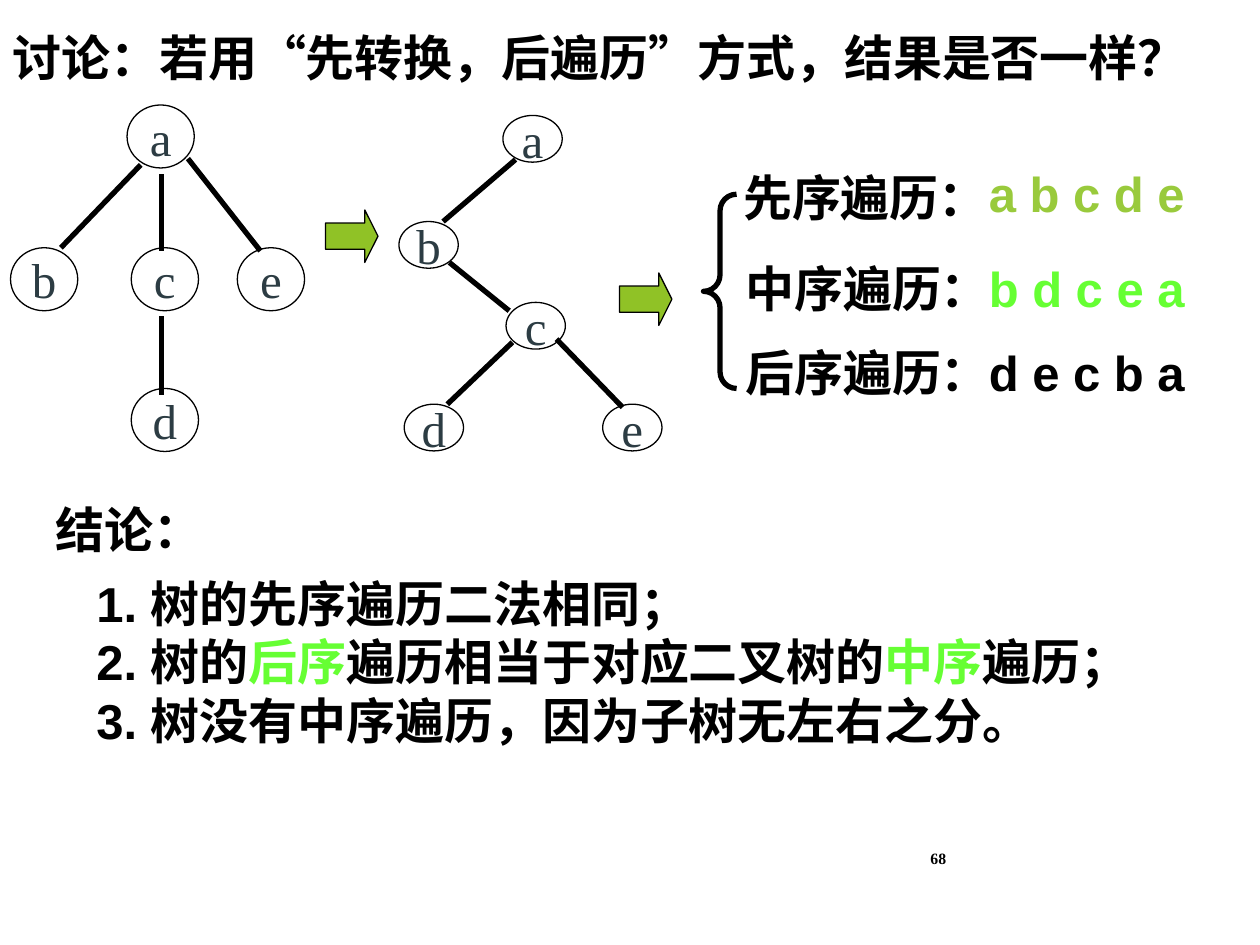
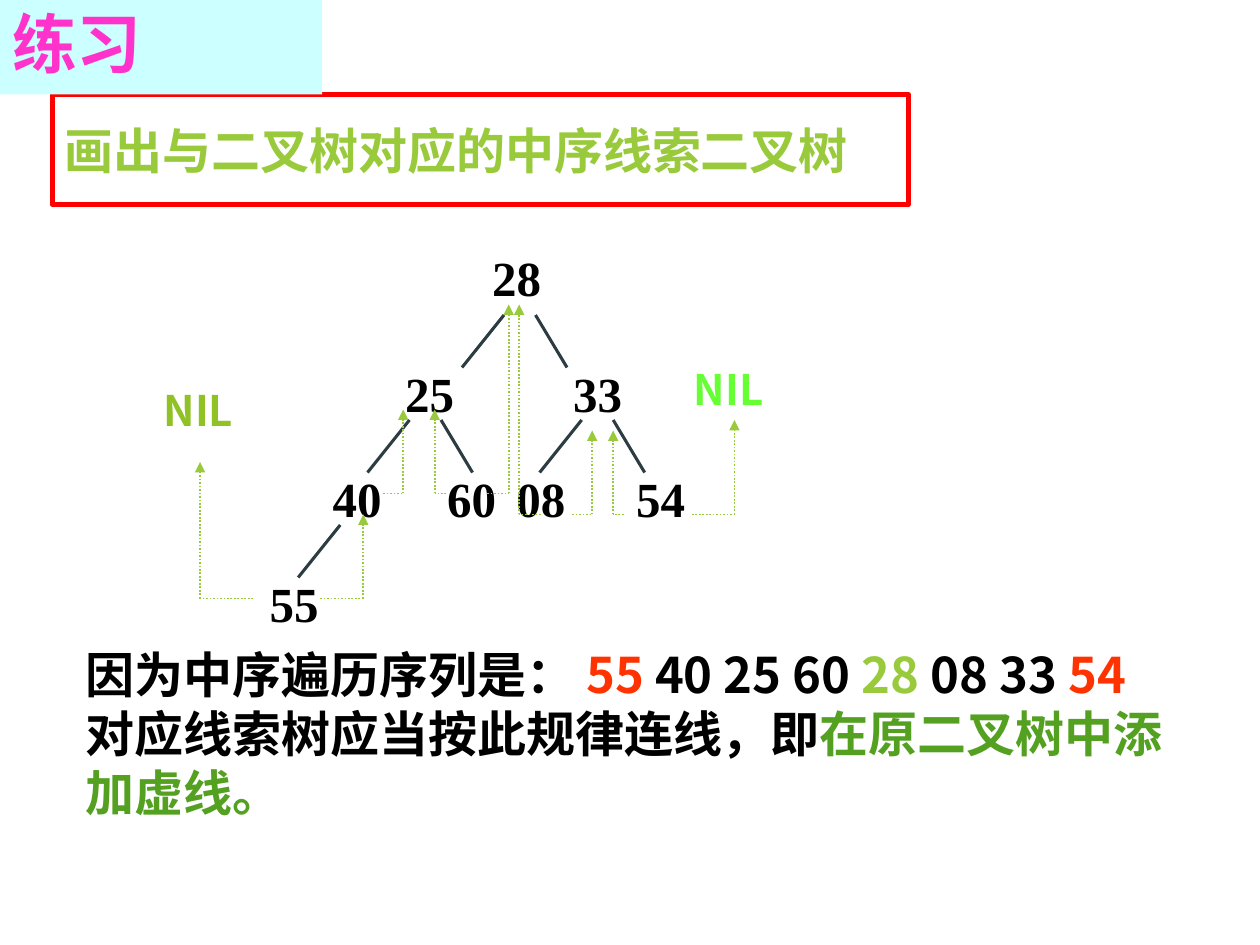
from pptx import Presentation
from pptx.dml.color import RGBColor
from pptx.enum.dml import MSO_LINE
from pptx.enum.shapes import MSO_CONNECTOR, MSO_SHAPE
from pptx.enum.text import MSO_ANCHOR, PP_ALIGN
from pptx.oxml.ns import qn
from pptx.util import Inches, Pt
from lxml.etree import SubElement

BLACK = RGBColor(0x00, 0x00, 0x00)
SLATE = RGBColor(0x2C, 0x3C, 0x43)
GREEN = RGBColor(0x90, 0xC2, 0x26)
LIME = RGBColor(0x99, 0xCA, 0x3C)
NEON = RGBColor(0x66, 0xFF, 0x33)
FOREST = RGBColor(0x54, 0xA0, 0x21)
RED = RGBColor(0xFF, 0x00, 0x00)
ORANGE = RGBColor(0xFF, 0x33, 0x00)
PINK = RGBColor(0xFF, 0x33, 0xCC)
CYAN = RGBColor(0xCC, 0xFF, 0xFF)

SANS, SERIF, CJK = "Arial", "Times New Roman", "Noto Sans CJK SC"

# The slide is a grid of 120 columns by 90 rows, 12 cells to the inch.
CELL = Inches(1) / 12
COLUMNS, ROWS = 120, 90


def cells(*lengths):
    return [round(length * CELL) for length in lengths]


def write(shape, paragraphs, font=SANS, size=28, color=BLACK, bold=True,
          wrap=True, align=PP_ALIGN.LEFT, anchor=MSO_ANCHOR.TOP):
    """Fill a shape with paragraphs; a run is (text, colour[, font])."""
    frame = shape.text_frame
    frame.word_wrap = wrap
    frame.vertical_anchor = anchor
    for index, runs in enumerate(paragraphs):
        paragraph = frame.add_paragraph() if index else frame.paragraphs[0]
        paragraph.alignment = align
        for text, *style in [(runs, color)] if isinstance(runs, str) else runs:
            run = paragraph.add_run()
            run.text = text
            run.font.size = Pt(size)
            run.font.bold = bold
            run.font.color.rgb = style[0]
            run.font.name = style[1] if len(style) > 1 else font
            SubElement(run.font._element, qn("a:ea"), typeface=CJK)


deck = Presentation()
deck.slide_width, deck.slide_height = cells(COLUMNS, ROWS)
blank = deck.slide_layouts[6]
traversal = deck.slides.add_slide(blank)
exercise = deck.slides.add_slide(blank)

# Slide 1: tree and its binary tree
question = traversal.shapes.add_textbox(*cells(0, 2, 116, 6.8))
write(question, [[("讨论：若用", BLACK), ("“", BLACK, SERIF), ("先转换，后遍历", BLACK),
                  ("”", BLACK, SERIF), ("方式，结果是否一样？", BLACK)]])

general_tree = [("a", 12.1, 10), ("b", 1, 23.6), ("c", 12.5, 23.6),
                ("e", 22.6, 23.6), ("d", 12.5, 37)]
binary_tree = [("a", 47.9, 11), ("b", 38, 21.1), ("c", 48.2, 28.8),
               ("d", 38.5, 38.5), ("e", 57.4, 38.5)]
for tree, width, height in [(general_tree, 6.4, 6), (binary_tree, 5.65, 4.45)]:
    for letter, left, top in tree:
        node = traversal.shapes.add_shape(MSO_SHAPE.OVAL, *cells(left, top, width, height))
        node.shadow.inherit = False
        node.fill.background()
        node.line.color.rgb = BLACK
        node.line.width = Pt(0.75)
        write(node, [letter], SERIF, color=SLATE, bold=False, wrap=False,
              align=PP_ALIGN.CENTER, anchor=MSO_ANCHOR.MIDDLE)

for left, top in [(31, 20), (59, 26)]:
    step = traversal.shapes.add_shape(MSO_SHAPE.RIGHT_ARROW, *cells(left, top, 5, 5))
    step.adjustments[0], step.adjustments[1] = 0.5, 0.25
    step.shadow.inherit = False
    step.fill.solid()
    step.fill.fore_color.rgb = GREEN
    step.line.color.rgb = BLACK
    step.line.width = Pt(0.75)

brace = traversal.shapes.add_shape(MSO_SHAPE.LEFT_BRACE, *cells(67, 18.5, 3.15, 18.5))
brace.adjustments[0], brace.adjustments[1] = 0.5, 0.5
brace.shadow.inherit = False
brace.fill.background()
brace.line.color.rgb = BLACK
brace.line.width = Pt(3)

for order, left, top, sequence, sequence_top, color in [
        ("先序遍历：", 69.6, 15.4, "a b c d e", 15, LIME),
        ("中序遍历：", 69.8, 24, "b d c e a", 24, NEON),
        ("后序遍历：", 69.8, 32, "d e c b a", 32, BLACK)]:
    write(traversal.shapes.add_textbox(*cells(left, top, 25.7, 6.8)), [order], wrap=False)
    write(traversal.shapes.add_textbox(*cells(93, sequence_top, 23, 6.8)), [sequence], color=color)

write(traversal.shapes.add_textbox(*cells(4.1, 47, 16.3, 6.8)), ["结论："], wrap=False)
write(traversal.shapes.add_textbox(*cells(8, 54, 102, 18)), [
    "1. 树的先序遍历二法相同；",
    [("2. 树的", BLACK), ("后序", NEON), ("遍历相当于对应二叉树的", BLACK),
     ("中序", NEON), ("遍历；", BLACK)],
    "3. 树没有中序遍历，因为子树无左右之分。"])
write(traversal.shapes.add_textbox(*cells(84.6, 79.3, 6.7, 4.8)), ["68"], SERIF, 9,
      align=PP_ALIGN.RIGHT, anchor=MSO_ANCHOR.MIDDLE)

# Slide 2: threaded binary tree
task = exercise.shapes.add_shape(MSO_SHAPE.RECTANGLE, *cells(5, 9, 81.5, 10.5))
task.shadow.inherit = False
task.fill.background()
task.line.color.rgb = RED
task.line.width = Pt(3)
write(task, ["画出与二叉树对应的中序线索二叉树"], CJK, color=LIME, anchor=MSO_ANCHOR.MIDDLE)

heading = exercise.shapes.add_shape(MSO_SHAPE.RECTANGLE, *cells(0, 0, 30.7, 9))
heading.shadow.inherit = False
heading.fill.solid()
heading.fill.fore_color.rgb = CYAN
heading.line.fill.background()
write(heading, ["练习"], CJK, 37, PINK, anchor=MSO_ANCHOR.MIDDLE)
heading.text_frame.paragraphs[0].line_spacing = 0.9

for key, left, top in [("28", 45.7, 23), ("25", 37.4, 34), ("33", 53.4, 34), ("40", 30.5, 44),
                       ("60", 41.4, 44), ("08", 48, 44), ("54", 59.4, 44), ("55", 24.5, 54)]:
    write(exercise.shapes.add_textbox(*cells(left, top, 7.1, 6.8)), [key], SERIF, wrap=False)
for left, top, color in [(14.4, 36, GREEN), (64.9, 34, NEON)]:
    write(exercise.shapes.add_textbox(*cells(left, top, 9.6, 6)), ["NIL"], CJK, 24, color, wrap=False)

write(exercise.shapes.add_textbox(*cells(7, 60.8, 107, 23.6)), [
    [("因为中序遍历序列是： ", BLACK), ("55", ORANGE), (" 40 25 60 ", BLACK),
     ("28", LIME), (" 08 33 ", BLACK), ("54", ORANGE)],
    [("对应线索树应当按此规律连线，即", BLACK), ("在原二叉树中添加虚线。", FOREST)]], CJK)

# Lines of both slides: slide, ends, colour, width, dotted, arrowhead
general_edges = [(13.4, 15.7, 5.8, 23.6), (17.9, 15.1, 24.8, 23.9),
                 (15.4, 16.6, 15.4, 23.9), (15.4, 30.1, 15.4, 37.6)]
binary_edges = [(49.1, 15.2, 42.2, 21.1), (42.8, 25, 48.5, 29.6),
                (48.8, 32.6, 42.6, 38.5), (53, 32.3, 59.3, 38.8)]
lines = [(traversal, edge, BLACK, 3, False, False) for edge in general_edges + binary_edges]

LEFT_CHILD, RIGHT_CHILD, CHILD_DROP = -4, 3, 5
for x, y, shift in [(48, 30, LEFT_CHILD), (51, 30, RIGHT_CHILD),
                    (39, 40, LEFT_CHILD), (42, 40, RIGHT_CHILD),
                    (55.4, 40, LEFT_CHILD), (58.4, 40, RIGHT_CHILD),
                    (32.4, 50, LEFT_CHILD)]:
    lines.append((exercise, (x, y, x + shift, y + CHILD_DROP), SLATE, 1.75, False, False))

# A thread leaves a node sideways, then turns up to its neighbour in the sequence.
for x, y, turn, end in [(24.1, 57, 19.05, 44), (30.5, 57, 34.6, 49), (36.5, 47, 38.4, 39),
                        (42.5, 47, 41.4, 39), (46.4, 47, 48.45, 29), (51.5, 49, 49.45, 29),
                        (54.5, 49, 56.4, 41), (59.4, 49, 58.4, 41), (65.9, 49, 69.95, 40)]:
    lines.append((exercise, (x, y, turn, y), LIME, 1, True, False))
    lines.append((exercise, (turn, y, turn, end), LIME, 1, True, True))

for slide, ends, color, width, dotted, arrow in lines:
    connector = slide.shapes.add_connector(MSO_CONNECTOR.STRAIGHT, *cells(*ends))
    connector.line.color.rgb = color
    connector.line.width = Pt(width)
    if dotted:
        connector.line.dash_style = MSO_LINE.ROUND_DOT
    if arrow:
        SubElement(connector.line._get_or_add_ln(), qn("a:tailEnd"), type="triangle")
    SubElement(connector._element.spPr, qn("a:effectLst"))

deck.save("out.pptx")
